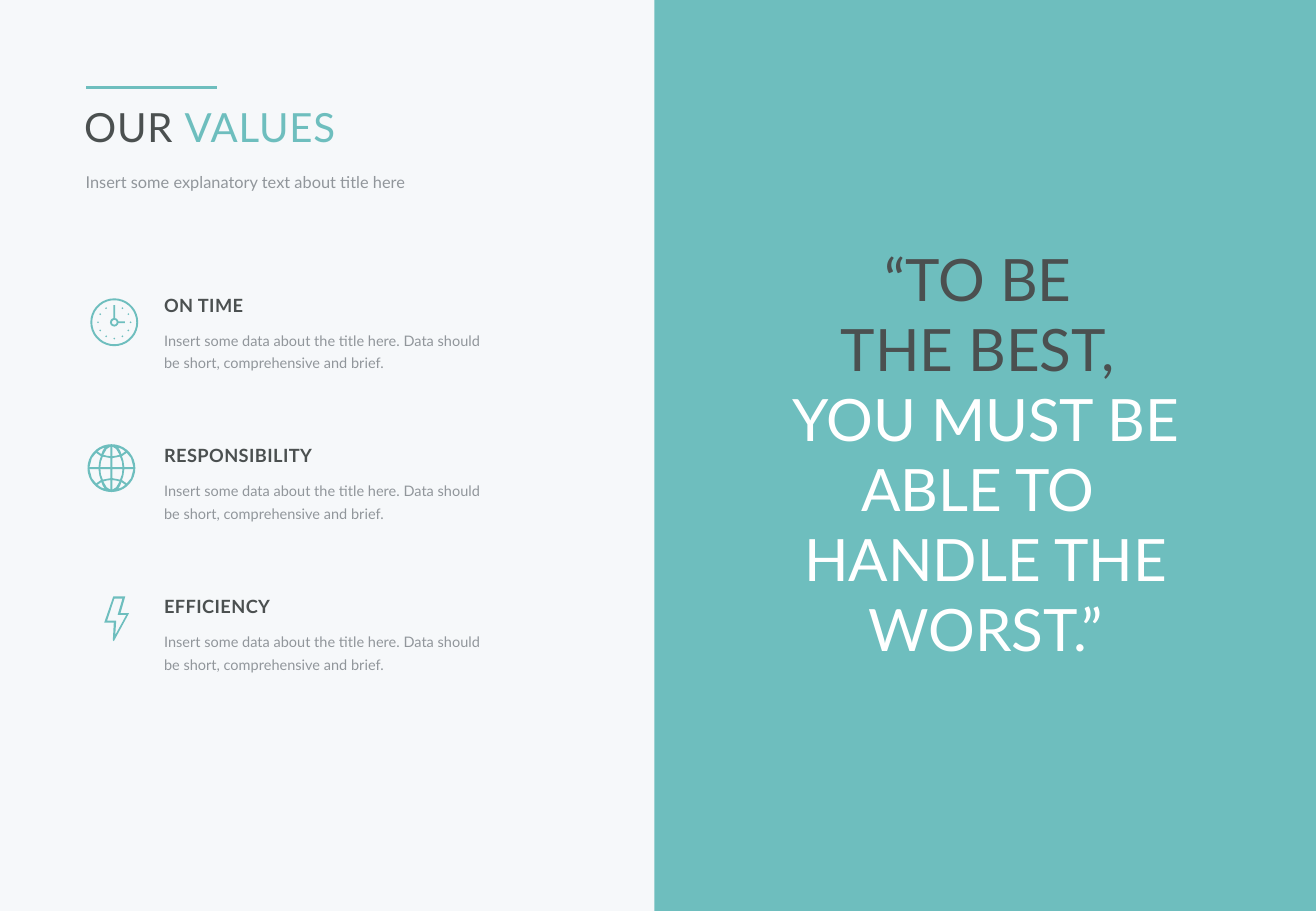
from dataclasses import dataclass
from math import cos, radians, sin

from lxml.etree import SubElement
from pptx import Presentation
from pptx.dml.color import RGBColor as Color
from pptx.enum.shapes import MSO_CONNECTOR as Connector, MSO_SHAPE as Shape
from pptx.enum.text import MSO_AUTO_SIZE as AutoSize, PP_ALIGN as Align
from pptx.oxml.ns import qn
from pptx.util import Cm, Pt


@dataclass(frozen=True)
class Theme:
    font: str = "Lato"
    paper: Color = Color.from_string("F6F8FA")
    teal: Color = Color.from_string("6EBEBE")
    dark: Color = Color.from_string("4B5050")
    grey: Color = Color.from_string("91969B")
    white: Color = Color.from_string("FFFFFF")
    quote: float = 34.6
    title: float = 23.8
    heading: float = 10.8
    subtitle: float = 9.7
    body: float = 8.6
    rule: float = 2.25


theme = Theme()
frame_format = {
    "margin_left": 0, "margin_top": 0, "margin_right": 0, "margin_bottom": 0,
    "word_wrap": True, "auto_size": AutoSize.SHAPE_TO_FIT_TEXT,
}


def circle(x, y, radius, count):
    angles = [radians(360 * step / count) for step in range(count)]
    return [(x + radius * sin(angle), y - radius * cos(angle)) for angle in angles]


def add_text(place, lines, size, bold=False, spacing=0, **para_format):
    box = page.shapes.add_textbox(*map(Cm, place))
    frame = box.text_frame
    for name, value in frame_format.items():
        setattr(frame, name, value)
    for index, line in enumerate(lines):
        para = frame.add_paragraph() if index else frame.paragraphs[0]
        for name, value in para_format.items():
            setattr(para, name, value)
        for words, color in line:
            span = para.add_run()
            span.text = words
            span.font.color.rgb = color
            for name, value in {"name": theme.font, "size": Pt(size), "bold": bold}.items():
                setattr(span.font, name, value)
            if spacing:
                span._r.get_or_add_rPr().set("spc", str(spacing))


deck = Presentation()
deck.slide_width, deck.slide_height = Cm(27.51), Cm(19.05)
page = deck.slides.add_slide(deck.slide_layouts[6])
page.background.fill.solid()
page.background.fill.fore_color.rgb = theme.paper

panel = page.shapes.add_shape(Shape.RECTANGLE, Cm(13.68), 0, Cm(13.83), deck.slide_height)

add_text((15.37, 5.08, 10.46, 8.89), [
    [("“TO BE ", theme.dark)],
    [("THE BEST, ", theme.dark)],
    [("YOU MUST BE ABLE TO ", theme.white)],
    [("HANDLE THE WORST.”", theme.white)],
], theme.quote, alignment=Align.CENTER)

details = "Insert some data about the title here. Data should be short, comprehensive and brief."
for row, heading in enumerate(["ON TIME", "RESPONSIBILITY", "EFFICIENCY"]):
    top = 6.15 + 3.15 * row
    add_text((3.43, top + 0.68, 6.76, 0.97), [[(details, theme.grey)]],
             theme.body, line_spacing=1.3)
    add_text((3.43, top, 6.76, 0.46), [[(heading, theme.dark)]],
             theme.heading, bold=True, spacing=25)

globe_x, globe_y = 2.33, 9.79
quarter_openings = [
    [(0.02, 0.02), (0.02, 0.21), (0.18, 0.24), (0.22, 0.13), (0.23, 0.02)],
    [(0.02, 0.25), (0.02, 0.45), (0.1, 0.4), (0.17, 0.28), (0.1, 0.26)],
    [(0.27, 0.02), (0.25, 0.16), (0.22, 0.25), (0.32, 0.32), (0.41, 0.21), (0.46, 0.02)],
    [(0.21, 0.29), (0.18, 0.37), (0.14, 0.43), (0.22, 0.4), (0.29, 0.35)],
]
globe = [circle(globe_x, globe_y, 0.5, 36)] + [
    [(globe_x + across * x, globe_y + down * y) for x, y in opening]
    for across in (-1, 1) for down in (-1, 1) for opening in quarter_openings
]

clock_x, clock_y = 2.39, 6.74
clock = [circle(clock_x, clock_y, radius, count)
         for radius, count in [(0.5, 36), (0.46, 36), (0.09, 12), (0.05, 12)]]
clock += [circle(x, y, 0.02, 4) for x, y in circle(clock_x, clock_y, 0.34, 12)[1:]]
for left, top, right, bottom in [(-0.02, -0.36, 0.02, -0.09), (0.09, -0.02, 0.22, 0.02)]:
    clock.append([(clock_x + x, clock_y + y) for x, y in
                  [(left, top), (right, top), (right, bottom), (left, bottom)]])

bolt = [
    [(2.37, 12.47), (2.62, 12.47), (2.52, 12.82), (2.7, 12.82),
     (2.38, 13.41), (2.36, 13.39), (2.38, 13.02), (2.18, 13.02)],
    [(2.41, 13.28), (2.43, 12.98), (2.24, 12.98), (2.39, 12.52),
     (2.56, 12.52), (2.46, 12.86), (2.64, 12.86)],
]

filled_shapes = [panel]
for contours in (globe, clock, bolt):
    builder = None
    for contour in contours:
        start, *rest = [(Cm(x), Cm(y)) for x, y in contour]
        if builder:
            builder.move_to(*start)
        else:
            builder = page.shapes.build_freeform(*start)
        builder.add_line_segments(rest, close=True)
    filled_shapes.append(builder.convert_to_shape())

for shape in filled_shapes:
    shape.shadow.inherit = False
    shape.fill.solid()
    shape.fill.fore_color.rgb = theme.teal
    shape.line.fill.background()

add_text((1.76, 2.15, 9.88, 1.02), [[("OUR ", theme.dark), ("VALUES", theme.teal)]],
         theme.title, spacing=55)

rule = page.shapes.add_connector(Connector.STRAIGHT, Cm(1.8), Cm(1.83), Cm(4.53), Cm(1.83))
rule.line.color.rgb = theme.teal
rule.line.width = Pt(theme.rule)
SubElement(rule._element.spPr, qn("a:effectLst"))

add_text((1.79, 3.58, 9.88, 0.43),
         [[("Insert some explanatory text about title here", theme.grey)]],
         theme.subtitle, line_spacing=Pt(12))

deck.save("out.pptx")
